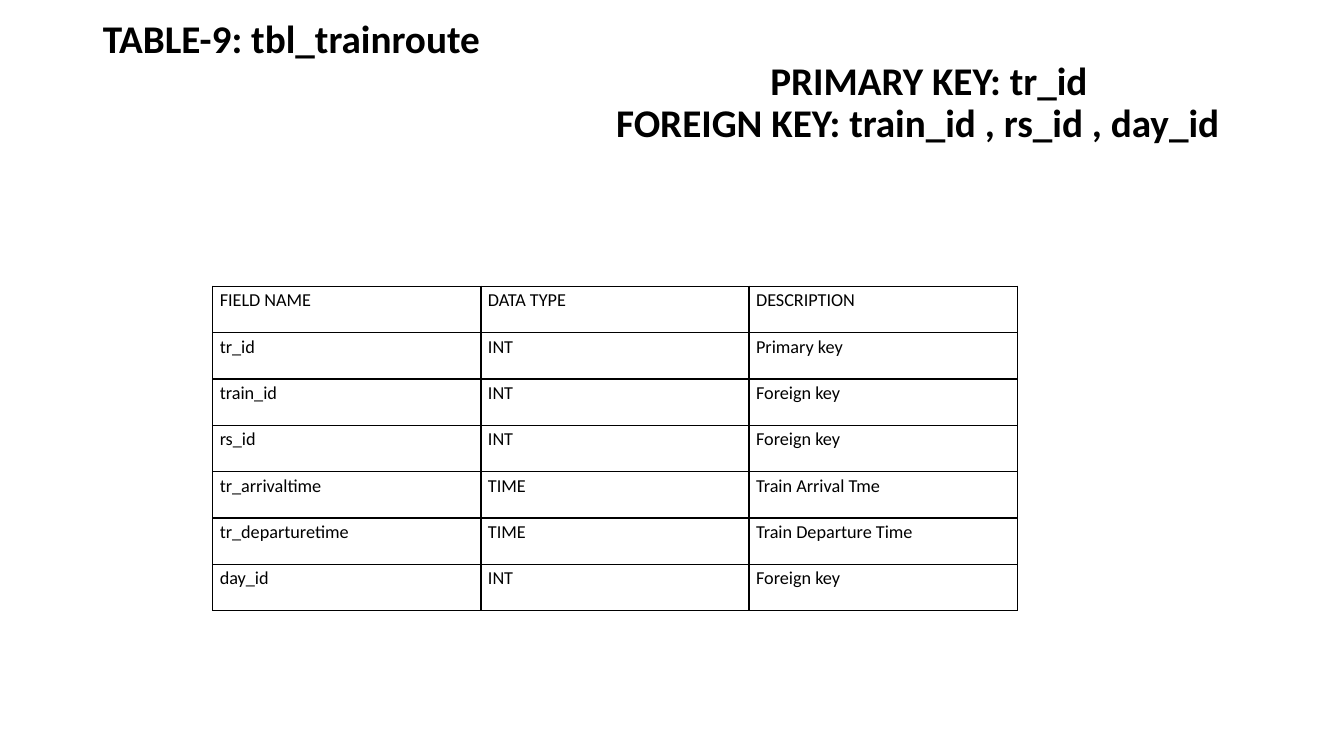
"""Build the slide that documents the tbl_trainroute database table."""
from typing import NamedTuple

from lxml.etree import SubElement
from pptx import Presentation
from pptx.dml.color import RGBColor
from pptx.enum.text import MSO_ANCHOR, MSO_AUTO_SIZE, PP_ALIGN
from pptx.oxml.ns import qn
from pptx.slide import Slide
from pptx.table import _Cell
from pptx.text.text import _Paragraph
from pptx.util import Inches, Length, Pt

BLACK = RGBColor(0x00, 0x00, 0x00)
WHITE = RGBColor(0xFF, 0xFF, 0xFF)
FONT = "Calibri"
COLUMN_WIDTH = Inches(2.66)
ROW_HEIGHT = Inches(0.46)


class Heading(NamedTuple):
    text: str
    indent: Length


class Field(NamedTuple):
    name: str
    data_type: str
    description: str


HEADINGS = [
    Heading("TABLE-9: tbl_trainroute", Inches(0)),
    Heading("PRIMARY KEY: tr_id", Inches(6.62)),
    Heading("FOREIGN KEY: train_id , rs_id , day_id", Inches(5.09)),
]
FIELDS = [
    Field("FIELD NAME", "DATA TYPE", "DESCRIPTION"),
    Field("tr_id", "INT", "Primary key"),
    Field("train_id", "INT", "Foreign key"),
    Field("rs_id", "INT", "Foreign key"),
    Field("tr_arrivaltime", "TIME", "Train Arrival Tme"),
    Field("tr_departuretime", "TIME", "Train Departure Time"),
    Field("day_id", "INT", "Foreign key"),
]


def write(paragraph: _Paragraph, text: str, size: int, bold: bool, spacing: float) -> None:
    """Add one formatted run to a left-aligned paragraph."""
    paragraph.alignment = PP_ALIGN.LEFT
    paragraph.line_spacing = spacing
    paragraph.space_before = paragraph.space_after = Pt(0)
    run = paragraph.add_run()
    run.text = text
    run.font.name = FONT
    run.font.size = Pt(size)
    run.font.bold = bold
    run.font.color.rgb = BLACK


def add_headings(slide: Slide) -> None:
    """Fill the title placeholder with the indented heading lines."""
    title = slide.shapes.title
    title.left, title.top = Inches(0.92), Inches(0.22)
    title.width, title.height = Inches(11.5), Inches(1.63)
    frame = title.text_frame
    frame.word_wrap = True
    frame.auto_size = MSO_AUTO_SIZE.NONE
    frame.vertical_anchor = MSO_ANCHOR.MIDDLE
    frame.margin_left = frame.margin_right = Inches(0.1)
    frame.margin_top, frame.margin_bottom = Inches(0.05), Inches(0.48)
    for number, heading in enumerate(HEADINGS):
        line = frame.add_paragraph() if number else frame.paragraphs[0]
        write(line, heading.text, 28, True, 0.9)
        properties = line._p.get_or_add_pPr()
        properties.set("marL", str(heading.indent))
        properties.set("indent", "0")


def add_borders(cell: _Cell) -> None:
    """Draw a thin black line on each side of a cell."""
    properties = cell._tc.get_or_add_tcPr()
    for side in ("lnL", "lnR", "lnT", "lnB"):
        border = SubElement(properties, qn(f"a:{side}"), w=str(Pt(1)))
        fill = SubElement(border, qn("a:solidFill"))
        SubElement(fill, qn("a:srgbClr"), val=str(BLACK))


def add_field_table(slide: Slide) -> None:
    """Add the bordered table of fields."""
    columns = len(Field._fields)
    fields = slide.shapes.add_table(
        len(FIELDS), columns, Inches(2.11), Inches(2.84),
        COLUMN_WIDTH * columns, ROW_HEIGHT * len(FIELDS),
    ).table
    fields.first_row = fields.horz_banding = False
    for column in fields.columns:
        column.width = COLUMN_WIDTH
    for row, field in zip(fields.rows, FIELDS):
        row.height = ROW_HEIGHT
        for cell, text in zip(row.cells, field):
            cell.margin_left = cell.margin_right = Inches(0.07)
            cell.margin_top = cell.margin_bottom = Inches(0)
            cell.vertical_anchor = MSO_ANCHOR.TOP
            add_borders(cell)
            cell.fill.background()
            write(cell.text_frame.paragraphs[0], text, 13, False, 1.15)


def main() -> None:
    """Build and save the presentation."""
    presentation = Presentation()
    presentation.slide_width = Inches(13.33)
    presentation.slide_height = Inches(7.5)
    slide = presentation.slides.add_slide(presentation.slide_layouts[5])
    slide.background.fill.solid()
    slide.background.fill.fore_color.rgb = WHITE
    add_headings(slide)
    add_field_table(slide)
    presentation.save("out.pptx")


main()
